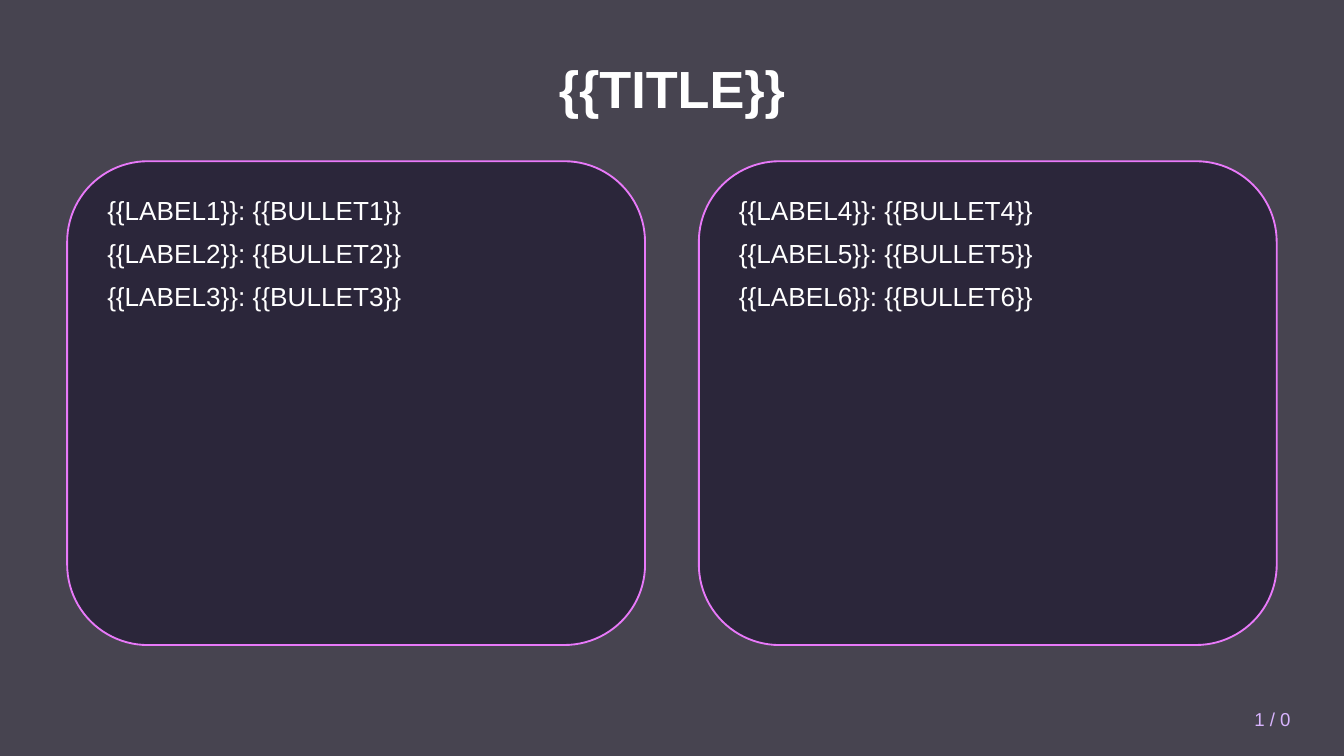
from dataclasses import dataclass

from lxml.etree import SubElement
from pptx import Presentation
from pptx.dml.color import RGBColor
from pptx.enum.shapes import MSO_SHAPE
from pptx.enum.text import MSO_ANCHOR, PP_ALIGN
from pptx.oxml.ns import qn
from pptx.util import Pt

SLIDE_WIDTH, SLIDE_HEIGHT = 720, 405
FONT = "Arial"
WHITE = "FFFFFF"
BACKDROP = "1A1625"
CARD_FILL = "251F35"
CARD_LINE = "E879F9"
PAGE_NUMBER = "D8B4FE"
OPACITY = 80


@dataclass(frozen=True)
class Box:
    left: float
    top: float
    width: float
    height: float

    def lengths(self) -> tuple:
        return Pt(self.left), Pt(self.top), Pt(self.width), Pt(self.height)

    def inset(self, margin: float) -> "Box":
        return Box(self.left + margin, self.top + margin,
                   self.width - 2 * margin, self.height - 2 * margin)


@dataclass(frozen=True)
class TextStyle:
    size: float
    color: str = WHITE
    bold: bool = False
    align: PP_ALIGN = PP_ALIGN.LEFT
    anchor: MSO_ANCHOR = MSO_ANCHOR.MIDDLE
    space_after: float = 0


TITLE_STYLE = TextStyle(28, bold=True, align=PP_ALIGN.CENTER)
BULLET_STYLE = TextStyle(14, anchor=MSO_ANCHOR.TOP, space_after=6)
PAGE_STYLE = TextStyle(10, PAGE_NUMBER, align=PP_ALIGN.RIGHT)


def color(value: str) -> RGBColor:
    return RGBColor.from_string(value)


def add_panel(slide, kind: MSO_SHAPE, box: Box, fill: str, line: str = "") -> None:
    """Draw a translucent panel, outlined if a line colour is given."""
    shape = slide.shapes.add_shape(kind, *box.lengths())
    shape.shadow.inherit = False
    shape.fill.solid()
    shape.fill.fore_color.rgb = color(fill)
    fill_color = shape.fill._xPr.find(qn("a:solidFill")).find(qn("a:srgbClr"))
    SubElement(fill_color, qn("a:alpha")).set("val", str(OPACITY * 1000))
    if line:
        shape.line.color.rgb = color(line)
        shape.line.width = Pt(1)
    else:
        shape.line.fill.background()


def add_text(slide, box: Box, lines: list[str], style: TextStyle) -> None:
    frame = slide.shapes.add_textbox(*box.lengths()).text_frame
    frame.word_wrap = True
    frame.vertical_anchor = style.anchor
    for index, line in enumerate(lines):
        paragraph = frame.add_paragraph() if index else frame.paragraphs[0]
        paragraph.alignment = style.align
        if style.space_after:
            paragraph.space_after = Pt(style.space_after)
        run = paragraph.add_run()
        run.text = line
        run.font.name = FONT
        run.font.size = Pt(style.size)
        run.font.bold = style.bold
        run.font.color.rgb = color(style.color)


def main() -> None:
    presentation = Presentation()
    presentation.slide_width = Pt(SLIDE_WIDTH)
    presentation.slide_height = Pt(SLIDE_HEIGHT)
    slide = presentation.slides.add_slide(presentation.slide_layouts[6])

    # Background
    slide.background.fill.solid()
    slide.background.fill.fore_color.rgb = color(WHITE)
    add_panel(slide, MSO_SHAPE.RECTANGLE,
              Box(0, 0, SLIDE_WIDTH, SLIDE_HEIGHT), BACKDROP)

    # Title
    add_text(slide, Box(36, 21.6, 648, 50.4), ["{{TITLE}}"], TITLE_STYLE)

    # Two cards with three labelled bullets each
    margin, card_width, rows = 36, 309.6, 3
    for column, left in enumerate((margin, SLIDE_WIDTH - margin - card_width)):
        card = Box(left, 86.4, card_width, 259.2)
        first = column * rows + 1
        bullets = [f"{{{{LABEL{number}}}}}: {{{{BULLET{number}}}}}"
                   for number in range(first, first + rows)]
        add_panel(slide, MSO_SHAPE.ROUNDED_RECTANGLE, card, CARD_FILL, CARD_LINE)
        add_text(slide, card.inset(14.4), bullets, BULLET_STYLE)

    # Page number
    add_text(slide, Box(612, 374.4, 86.4, 21.6), ["1 / 0"], PAGE_STYLE)

    presentation.save("out.pptx")


if __name__ == "__main__":
    main()
